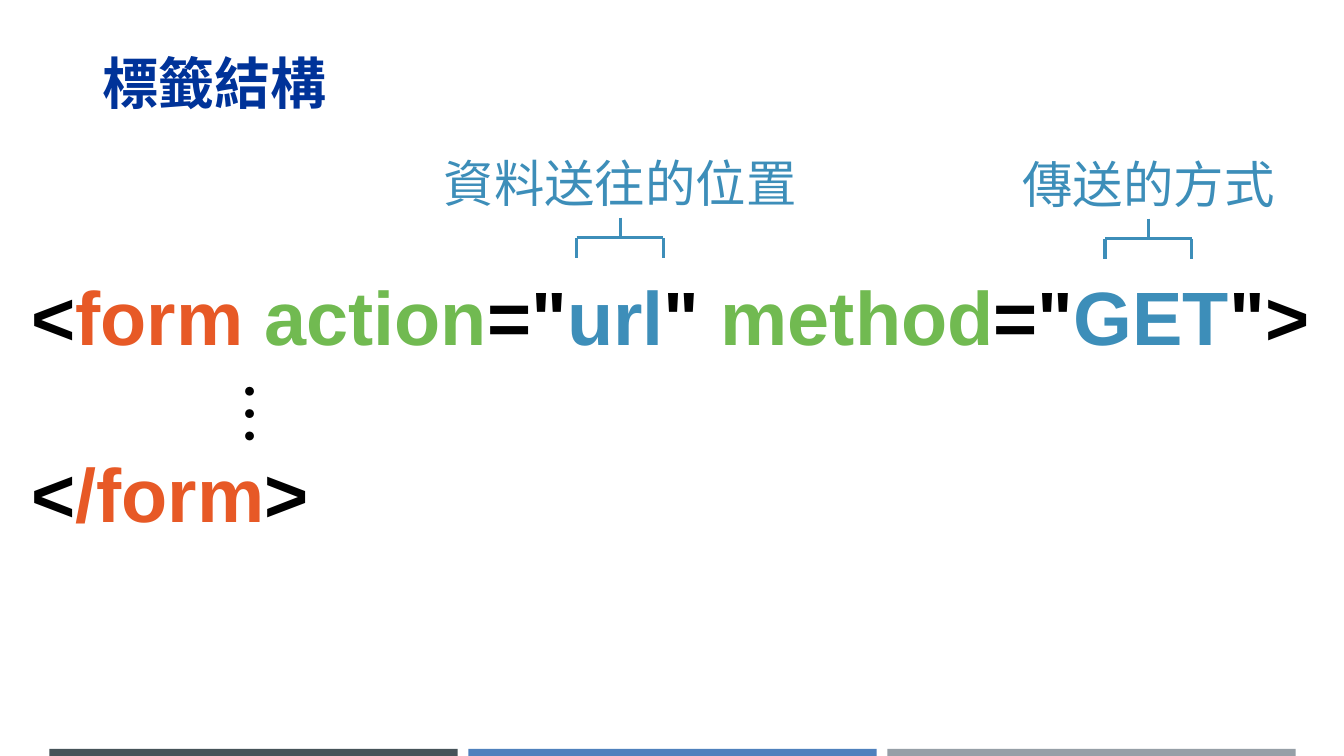
import pptx
import pptx.util
import pptx.dml.color
import pptx.enum.shapes
import pptx.enum.text
import pptx.oxml.ns
from lxml import etree

Inches = pptx.util.Inches
ALIGN = pptx.enum.text.PP_ALIGN

# Content
TITLE = "標籤結構"
CODE_LINES = [
    [("<", "black"), ("form ", "tag"), ("action", "attribute"), ('="', "black"),
     ("url", "value"), ('" ', "black"), ("method", "attribute"), ('="', "black"),
     ("GET", "value"), ('">', "black")],
    [("<", "black"), ("/form", "tag"), (">", "black")],
]
ELLIPSIS = "…"
CALLOUTS = [("資料送往的位置", 6.15, 1.45), ("傳送的方式", 11.39, 1.46)]  # text, centre, top
FOOTER_BARS = ["slate", "blue", "gray"]

# Theme
THEME = {
    "colors": {"black": "000000", "tag": "E75926", "attribute": "71BA51",
               "value": "3D8EB9", "title": "003399", "slate": "465359",
               "blue": "4F81BD", "gray": "969FA7"},
    "sizes": {"title": 40, "code": 54, "callout": 36, "ellipsis": 48},
    "latin": "Arial",
    "cjk": "Noto Sans CJK SC",
    "line": 2.25,
}


def color(name):
    return pptx.dml.color.RGBColor.from_string(THEME["colors"][name])


def add_run(paragraph, text, color_name, font_name, size_name, bold=False):
    run = paragraph.add_run()
    run.text = text
    formats = {"name": font_name, "size": pptx.util.Pt(THEME["sizes"][size_name]),
               "bold": bold}
    for attribute, value in formats.items():
        setattr(run.font, attribute, value)
    run.font.color.rgb = color(color_name)
    east_asian = etree.SubElement(run.font._element, pptx.oxml.ns.qn("a:ea"))
    east_asian.set("typeface", font_name)


def add_text_frame(slide, left, top, width, height, **formats):
    box = slide.shapes.add_textbox(*map(Inches, (left, top, width, height)))
    frame = box.text_frame
    formats = {"word_wrap": True,
               "vertical_anchor": pptx.enum.text.MSO_ANCHOR.MIDDLE, **formats}
    for attribute, value in formats.items():
        setattr(frame, attribute, value)
    return frame


def add_line(shapes, start, end):
    line = shapes.add_connector(pptx.enum.shapes.MSO_CONNECTOR.STRAIGHT,
                                *map(Inches, start + end))
    line.line.color.rgb = color("value")
    line.line.width = pptx.util.Pt(THEME["line"])
    etree.SubElement(line._element.spPr, pptx.oxml.ns.qn("a:effectLst"))


def add_bracket(slide, center, top):
    half, step = 0.43, 0.2
    left, right, middle, bottom = center - half, center + half, top + step, top + 2 * step
    shapes = slide.shapes.add_group_shape().shapes
    add_line(shapes, (center, top), (center, middle))
    add_line(shapes, (left, middle), (right, middle))
    for side in (left, right):
        add_line(shapes, (side, middle), (side, bottom))


def main():
    presentation = pptx.Presentation()
    presentation.slide_width = Inches(13.33)
    presentation.slide_height = Inches(7.5)
    slide = presentation.slides.add_slide(presentation.slide_layouts[6])

    # Footer bars
    for index, bar_color in enumerate(FOOTER_BARS):
        bar = slide.shapes.add_shape(
            pptx.enum.shapes.MSO_SHAPE.RECTANGLE, Inches(0.49 + index * 4.155),
            Inches(7.43), Inches(4.05), Inches(0.1))
        bar.shadow.inherit = False
        bar.fill.solid()
        bar.fill.fore_color.rgb = color(bar_color)
        bar.line.fill.background()

    # Code, with a one-line gap before the closing tag
    frame = add_text_frame(slide, -0.56, 2.59, 14.46, 2.83,
                           margin_left=Inches(0.87), margin_right=0)
    for index, line in enumerate(CODE_LINES):
        paragraph = frame.add_paragraph() if index else frame.paragraphs[0]
        paragraph.space_before = pptx.util.Pt(62 * index)
        for text, color_name in line:
            add_run(paragraph, text, color_name, THEME["latin"], "code", bold=True)

    # Title
    frame = add_text_frame(slide, 0.92, 0.23, 11.89, 1.16)
    add_run(frame.paragraphs[0], TITLE, "title", THEME["cjk"], "title", bold=True)

    # Callouts with brackets
    width, height = 3.85, 0.71
    for text, center, top in CALLOUTS:
        frame = add_text_frame(slide, center - width / 2, top, width, height)
        frame.paragraphs[0].alignment = ALIGN.CENTER
        add_run(frame.paragraphs[0], text, "value", THEME["cjk"], "callout")
        add_bracket(slide, center, top + height)

    # Vertical ellipsis
    frame = add_text_frame(slide, 1.99, 3.68, 1.01, 0.7)
    frame._txBody.bodyPr.set("vert", "eaVert")
    frame.paragraphs[0].alignment = ALIGN.CENTER
    add_run(frame.paragraphs[0], ELLIPSIS, "black", THEME["cjk"], "ellipsis")

    presentation.save("out.pptx")


if __name__ == "__main__":
    main()
